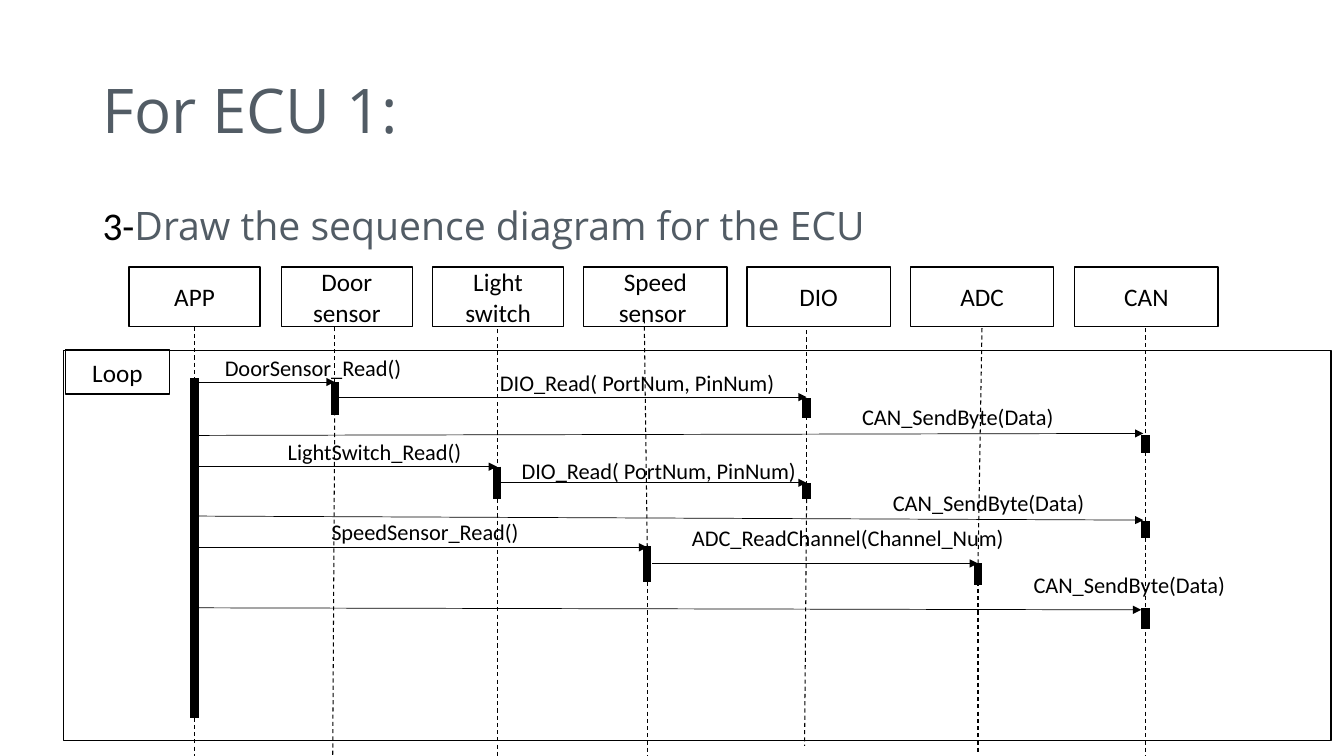
from lxml import etree
from pptx import Presentation
from pptx.dml.color import RGBColor
from pptx.enum.dml import MSO_LINE_DASH_STYLE as Dash
from pptx.enum.shapes import MSO_CONNECTOR as Connector, MSO_SHAPE as Shape
from pptx.enum.text import MSO_ANCHOR as Anchor, PP_ALIGN as Align
from pptx.oxml.ns import qn
from pptx.util import Inches, Pt


def color(hex_code):
    return RGBColor.from_string(hex_code)


class SequenceSlide:
    BLACK, GRAY = "000000", "525C65"
    BODY_FONT, HEAD_FONT = "Calibri", "Open Sans"

    def __init__(self, slide):
        self.shapes = slide.shapes

    def add_text(self, frame, runs, align=Align.CENTER, anchor=Anchor.MIDDLE, spacing=1.0):
        """Fill a frame with one paragraph of (text, size, font, color) runs."""
        frame.word_wrap = True
        frame.vertical_anchor = anchor
        paragraph = frame.paragraphs[0]
        paragraph.alignment = align
        paragraph.line_spacing = spacing
        for text, size, font, hex_code in runs:
            run = paragraph.add_run()
            run.text = text
            run.font.size = Pt(size)
            run.font.name = font
            run.font.color.rgb = color(hex_code)

    def heading(self, place, runs, anchor):
        box = self.shapes.add_textbox(*map(Inches, place))
        self.add_text(box.text_frame, runs, Align.LEFT, anchor, 0.9)

    def label(self, place, text):
        box = self.shapes.add_textbox(*map(Inches, place))
        self.add_text(box.text_frame, [(text, 16, self.BODY_FONT, self.BLACK)])

    def box(self, place, text=""):
        rect = self.shapes.add_shape(Shape.RECTANGLE, *map(Inches, place))
        rect.shadow.inherit = False
        rect.fill.background()
        rect.line.color.rgb = color(self.BLACK)
        rect.line.width = Pt(1)
        if text:
            self.add_text(rect.text_frame, [(text, 18, self.BODY_FONT, self.BLACK)])

    def line(self, start, end, width):
        link = self.shapes.add_connector(
            Connector.STRAIGHT, *map(Inches, (*start, *end)))
        link.line.color.rgb = color(self.BLACK)
        link.line.width = Pt(width)
        etree.SubElement(link._element.spPr, qn("a:effectLst"))
        return link

    def activation(self, x, top, bottom):
        self.line((x, top), (x, bottom), 6)

    def lifeline(self, start, end):
        self.line(start, end, 0.75).line.dash_style = Dash.DASH

    def message(self, start, end):
        arrow = self.line(start, end, 0.5)
        outline = arrow._element.spPr.find(qn("a:ln"))
        etree.SubElement(outline, qn("a:tailEnd"), type="triangle")


# Lifeline centers
APP, DOOR, LIGHT, SPEED, DIO, ADC, CAN = 1.93, 3.32, 4.93, 6.42, 8, 9.7, 11.36

PARTICIPANTS = [
    ("APP", 1.28, 1.3), ("Door sensor", 2.79, 1.3), ("Light switch", 4.29, 1.3),
    ("Speed sensor ", 5.79, 1.42), ("DIO", 7.41, 1.42),
    ("ADC", 9.03, 1.42), ("CAN", 10.66, 1.42),
]

# Text, label place, arrow start, arrow end
MESSAGES = [
    ("DoorSensor_Read()", (1.94, 3.52, 2.33, 0.26), (APP, 3.79), (DOOR, 3.79)),
    ("DIO_Read( PortNum, PinNum)", (4.33, 3.64, 3.98, 0.31), (DOOR, 3.94), (DIO, 3.94)),
    ("CAN_SendByte(Data) ", (8, 3.94, 3.05, 0.38), (APP, 4.32), (11.34, 4.3)),
    ("LightSwitch_Read()", (2.21, 4.29, 3.01, 0.38), (APP, 4.63), (LIGHT, 4.63)),
    ("DIO_Read( PortNum, PinNum)", (4.85, 4.49, 3.37, 0.36), (LIGHT, 4.79), (DIO, 4.79)),
    ("CAN_SendByte(Data) ", (8.26, 4.84, 3.14, 0.3), (1.95, 5.12), (11.34, 5.16)),
    ("SpeedSensor_Read()", (2.61, 5.05, 3.21, 0.45), (APP, 5.43), (SPEED, 5.43)),
    ("ADC_ReadChannel(Channel_Num) ", (6.32, 5.17, 4.23, 0.33), (6.47, 5.59), (ADC, 5.59)),
    ("CAN_SendByte(Data) ", (9.75, 5.63, 2.95, 0.33), (APP, 6.03), (11.32, 6.05)),
]

ACTIVATIONS = [
    (APP, 3.75, 7.12), (DOOR, 3.79, 4.12), (DIO, 3.95, 4.15),
    (CAN, 4.32, 4.49), (LIGHT, 4.63, 4.95), (DIO, 4.79, 4.95),
    (CAN, 5.17, 5.34), (SPEED, 5.42, 5.77), (ADC, 5.59, 5.8), (CAN, 6.03, 6.24),
]

LIFELINES = [
    ((APP, 3.24), (APP, 3.91)), ((APP, 7.12), (APP, 7.5)),
    ((DOOR, 3.79), (DOOR, 3.24)), ((DOOR, 4.08), (3.3, 7.5)),
    ((LIGHT, 4.67), (LIGHT, 3.24)), ((LIGHT, 4.95), (LIGHT, 7.5)),
    ((SPEED, 5.43), (6.39, 3.17)), ((SPEED, 5.77), (SPEED, 7.5)),
    ((DIO, 3.89), (DIO, 3.27)), ((DIO, 4.13), (DIO, 4.81)), ((DIO, 4.95), (7.98, 7.4)),
    ((ADC, 5.59), (9.74, 3.24)), ((ADC, 5.77), (ADC, 7.46)),
    ((CAN, 4.3), (CAN, 3.24)), ((CAN, 4.48), (CAN, 7.49)),
]


def main():
    deck = Presentation()
    deck.slide_width, deck.slide_height = Inches(13.33), Inches(7.5)
    diagram = SequenceSlide(deck.slides.add_slide(deck.slide_layouts[6]))

    # Title and task
    diagram.heading((0.92, 0.4, 11.5, 1.45),
                    [("For ECU 1:", 44, diagram.HEAD_FONT, diagram.GRAY)], Anchor.MIDDLE)
    diagram.heading((0.92, 2, 11.5, 4.76),
                    [("3-", 28, diagram.BODY_FONT, diagram.BLACK),
                     ("Draw the sequence diagram for the ECU", 28,
                      diagram.HEAD_FONT, diagram.GRAY)], Anchor.TOP)

    # Participants
    for name, left, width in PARTICIPANTS:
        diagram.box((left, 2.65, width, 0.59), name)

    # Loop frame
    diagram.box((0.63, 3.48, 12.57, 3.87))
    diagram.box((0.65, 3.47, 1.03, 0.44), "Loop")

    # Messages, activations and lifelines
    for text, place, start, end in MESSAGES:
        diagram.message(start, end)
        diagram.label(place, text)
    for x, top, bottom in ACTIVATIONS:
        diagram.activation(x, top, bottom)
    for start, end in LIFELINES:
        diagram.lifeline(start, end)

    deck.save("out.pptx")


if __name__ == "__main__":
    main()
